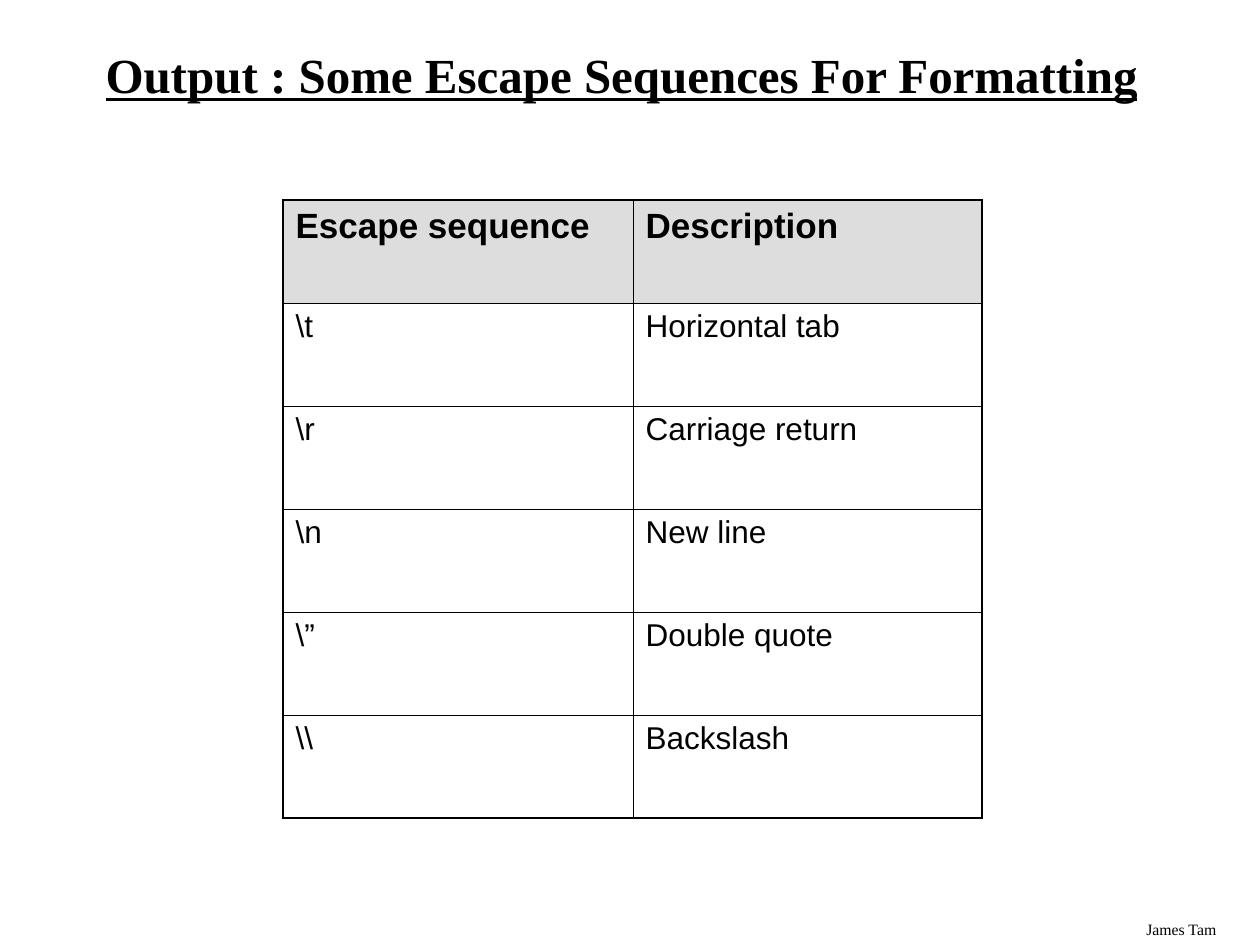
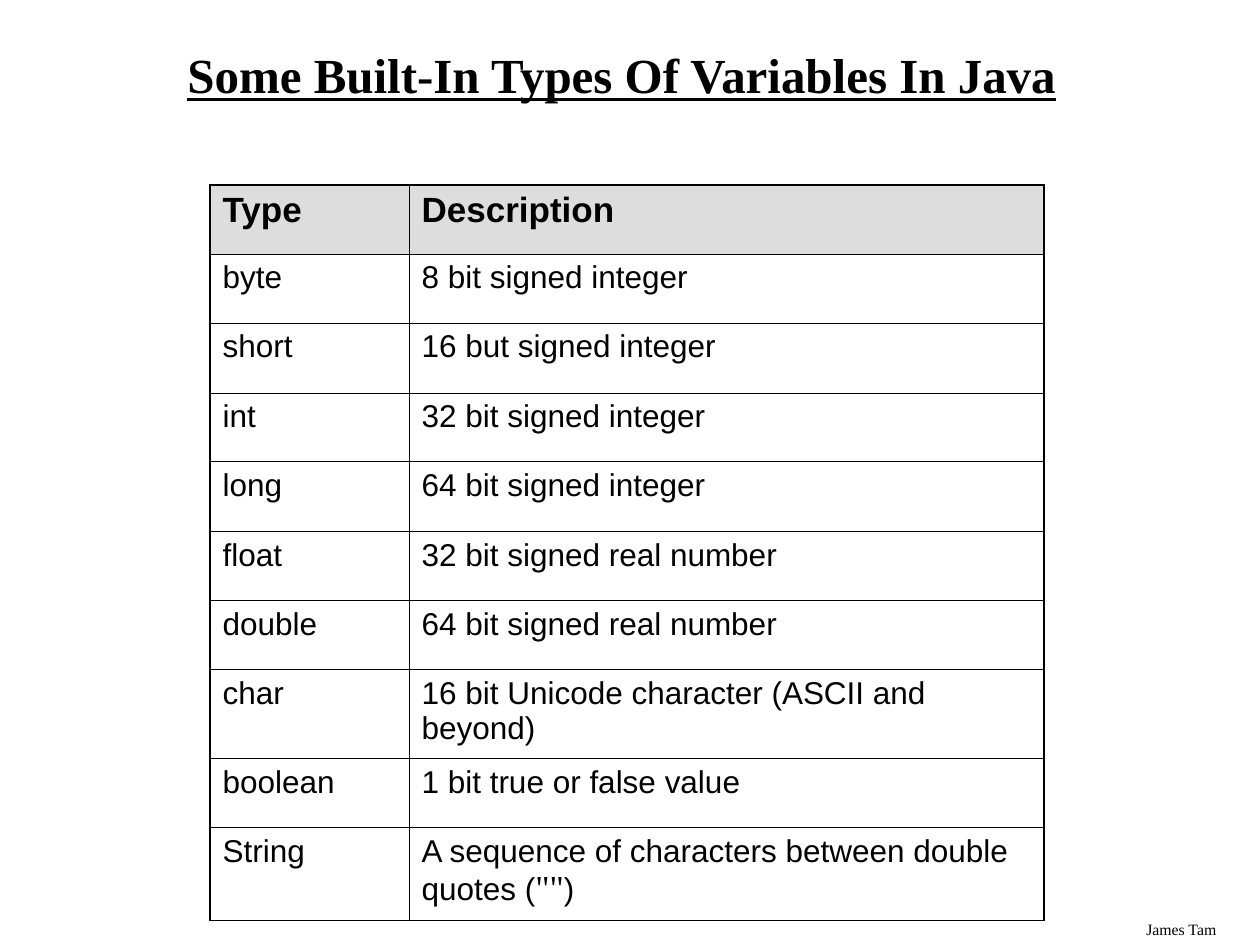
import dataclasses

import lxml.etree
import pptx
import pptx.dml.color
import pptx.enum.text
import pptx.oxml.ns
import pptx.util


@dataclasses.dataclass(frozen=True)
class Theme:
    ink: str = "000000"
    head: str = "DDDDDD"
    serif: str = "Times New Roman"
    sans: str = "Arial"
    title: int = 28
    label: int = 20
    body: int = 18
    foot: int = 9
    thick: float = 1.08
    thin: float = 0.45


SCALE = 914400 / 126


def emu(px):
    return pptx.util.Emu(round(px * SCALE))


class Deck:
    def __init__(self, theme):
        self.theme = theme
        self.file = pptx.Presentation()
        self.file.slide_width = emu(1260)
        self.file.slide_height = emu(945)
        self.slide = None

    def page(self, title):
        self.slide = self.file.slides.add_slide(self.file.slide_layouts[6])
        self.foot("James Tam")
        self.title(title)

    def style(self, run, face, size, bold=False, under=False):
        font = run.font
        font.name = face
        font.size = pptx.util.Pt(size)
        font.bold = bold
        font.underline = under
        font.color.rgb = pptx.dml.color.RGBColor.from_string(self.theme.ink)

    def text(self, words, box, size, bold=False, under=False):
        frame = self.slide.shapes.add_textbox(*map(emu, box)).text_frame
        frame.word_wrap = True
        frame.text = words
        self.style(frame.paragraphs[0].runs[0], self.theme.serif, size, bold, under)
        return frame

    def foot(self, words):
        self.text(words, (1134, 914, 126, 32), self.theme.foot)

    def title(self, words):
        frame = self.text(words, (59, 42, 1125, 72), self.theme.title, True, True)
        frame.vertical_anchor = pptx.enum.text.MSO_ANCHOR.MIDDLE
        frame.paragraphs[0].alignment = pptx.enum.text.PP_ALIGN.CENTER
        frame.paragraphs[0].line_spacing = 0.9

    def edge(self, cell, side, outer):
        width = pptx.util.Pt(self.theme.thick if outer else self.theme.thin)
        name = pptx.oxml.ns.qn
        line = lxml.etree.SubElement(
            cell._tc.get_or_add_tcPr(), name(f"a:ln{side}"), w=str(width))
        fill = lxml.etree.SubElement(line, name("a:solidFill"))
        lxml.etree.SubElement(fill, name("a:srgbClr"), val=self.theme.ink)

    def cell(self, cell, parts, head):
        theme = self.theme
        line = cell.text_frame.paragraphs[0]
        for spot, part in enumerate(parts):
            run = line.add_run()
            run.text = part
            if spot % 2:
                self.style(run, theme.serif, theme.label)
            else:
                self.style(run, theme.sans, theme.label if head else theme.body, head)
        if head:
            cell.fill.solid()
            cell.fill.fore_color.rgb = pptx.dml.color.RGBColor.from_string(theme.head)
        else:
            cell.fill.background()

    def table(self, left, top, wide, high, rows):
        grid = self.slide.shapes.add_table(
            len(rows), len(wide), *map(emu, (left, top, sum(wide), sum(high)))).table
        grid.first_row = grid.horz_banding = False
        for col, width in zip(grid.columns, wide):
            col.width = emu(width)
        for row, height in zip(grid.rows, high):
            row.height = emu(height)
        for r, row in enumerate(rows):
            for c, entry in enumerate(row):
                cell = grid.cell(r, c)
                sides = {"L": c == 0, "R": c == len(wide) - 1,
                         "T": r == 0, "B": r == len(rows) - 1}
                for side, outer in sides.items():
                    self.edge(cell, side, outer)
                parts = (entry,) if isinstance(entry, str) else entry
                self.cell(cell, parts, r == 0)


CODES = [
    ("Escape sequence", "Description"),
    (r"\t", "Horizontal tab"),
    (r"\r", "Carriage return"),
    (r"\n", "New line"),
    (r"\”", "Double quote"),
    (r"\\", "Backslash"),
]

TYPES = [
    ("Type", "Description"),
    ("byte", "8 bit signed integer"),
    ("short", "16 but signed integer"),
    ("int", "32 bit signed integer"),
    ("long", "64 bit signed integer"),
    ("float", "32 bit signed real number"),
    ("double", "64 bit signed real number"),
    ("char", "16 bit Unicode character (ASCII and beyond)"),
    ("boolean", "1 bit true or false value"),
    ("String", ("A sequence of characters between double quotes (", '""', ")")),
]


def main():
    deck = Deck(Theme())
    deck.page("Output : Some Escape Sequences For Formatting")
    deck.table(283, 200, (350, 349), [103] * len(CODES), CODES)
    deck.page("Some Built-In Types Of Variables In Java")
    deck.table(210, 185, (199, 635), [69, 69, 70, 69, 70, 69, 69, 89, 69, 93], TYPES)
    deck.file.save("out.pptx")


if __name__ == "__main__":
    main()
